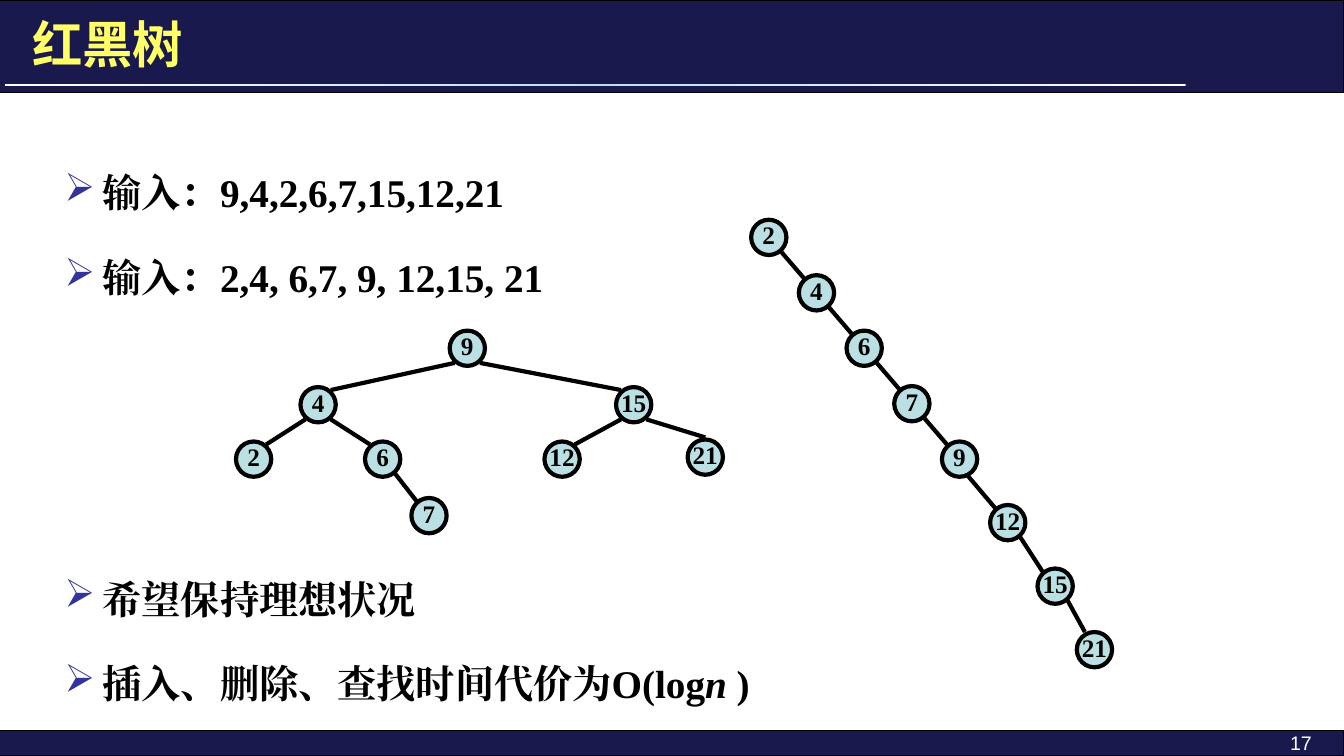
import copy
from dataclasses import dataclass
from typing import Optional

import lxml.etree
import pptx
import pptx.dml.color
import pptx.enum.shapes
import pptx.enum.text
import pptx.oxml.ns
import pptx.slide
import pptx.util

COLUMNS, ROWS = 133.3, 75
SLIDE_WIDTH, SLIDE_HEIGHT = pptx.util.Inches(13.33), pptx.util.Inches(7.5)
NODE_SIZE = 3.5
PORT_X, PORT_Y = 1.25, 1.45
SHAPE = pptx.enum.shapes.MSO_SHAPE
ALIGN = pptx.enum.text.PP_ALIGN
ANCHOR = pptx.enum.text.MSO_ANCHOR


@dataclass(frozen=True)
class Theme:
    navy: str = "19194D"
    yellow: str = "FFFF66"
    pale: str = "BBE0E3"
    black: str = "000000"
    white: str = "FFFFFF"
    bullet: str = "333399"
    serif: str = "Times New Roman"
    chinese: str = "Noto Sans CJK SC"
    sans: str = "Arial"
    title_size: int = 36
    body_size: int = 28
    node_size: int = 18
    number_size: int = 14


THEME = Theme()


@dataclass(frozen=True)
class Box:
    column: float
    row: float
    width: float
    height: float


@dataclass(frozen=True)
class Node:
    label: str
    column: float
    row: float
    parent: Optional[int] = None
    leave_x: float = PORT_X
    arrive_x: float = PORT_X
    arrive_y: float = PORT_Y


@dataclass(frozen=True)
class TextStyle:
    font: str
    size: int
    color: str
    bold: bool = True


@dataclass(frozen=True)
class BulletList:
    box: Box
    lines: tuple[tuple[str, ...], ...]


TITLE_STYLE = TextStyle(THEME.chinese, THEME.title_size, THEME.yellow)
BODY_STYLE = TextStyle(THEME.serif, THEME.body_size, THEME.black)
NODE_STYLE = TextStyle(THEME.serif, THEME.node_size, THEME.black)
NUMBER_STYLE = TextStyle(THEME.sans, THEME.number_size, THEME.white, False)

BARS = (Box(0, 72.5, COLUMNS, 2.5), Box(0, 0, COLUMNS, 9.2))
BALANCED_TREE = (
    Node("9", 46.35, 34.55),
    Node("4", 31.55, 40.15, 0),
    Node("15", 62.85, 40.15, 0),
    Node("2", 25.15, 45.55, 1),
    Node("6", 37.95, 45.55, 1),
    Node("12", 55.75, 45.55, 2),
    Node("21", 69.95, 45.35, 2, arrive_x=0, arrive_y=1.95),
    Node("7", 42.55, 51.15, 4),
)
CHAIN_TREE = (
    Node("2", 76.25, 23.55),
    *(Node(label, 76.25 + 4.73 * step, 23.55 + 5.5 * step, step - 1)
      for step, label in enumerate(("4", "6", "7", "9"), 1)),
    Node("12", 99.95, 51.85, 4, leave_x=0.65),
    Node("15", 104.65, 58.15, 5),
    Node("21", 108.55, 64.45, 6, arrive_x=0.95, arrive_y=1.75),
)
BULLET_LISTS = (
    BulletList(Box(5.4, 13.9, 107.1, 45),
               (("输入：9,4,2,6,7,15,12,21",), ("输入：2,4, 6,7, 9, 12,15, 21",))),
    BulletList(Box(5.4, 54.2, 104.6, 16.7),
               (("希望保持理想状况",), ("插入、删除、查找时间代价为O(log", "n", " )"))),
)


def across(columns: float) -> int:
    return round(SLIDE_WIDTH * columns / COLUMNS)


def down(rows: float) -> int:
    return round(SLIDE_HEIGHT * rows / ROWS)


def place(box: Box) -> tuple[int, int, int, int]:
    return across(box.column), down(box.row), across(box.width), down(box.height)


def rgb(color: str) -> pptx.dml.color.RGBColor:
    return pptx.dml.color.RGBColor.from_string(color)


def format_runs(paragraph, style: TextStyle) -> None:
    for run in paragraph.runs:
        run.font.name = style.font
        run.font.size = pptx.util.Pt(style.size)
        run.font.bold = style.bold
        run.font.color.rgb = rgb(style.color)
        east_asian = lxml.etree.Element(pptx.oxml.ns.qn("a:ea"), typeface=style.font)
        run.font._element.find(pptx.oxml.ns.qn("a:latin")).addnext(east_asian)


def add_filled(slide: pptx.slide.Slide, kind, box: Box, color: str, line_width: float):
    shape = slide.shapes.add_shape(kind, *place(box))
    shape.shadow.inherit = False
    shape.fill.solid()
    shape.fill.fore_color.rgb = rgb(color)
    shape.line.color.rgb = rgb(THEME.black)
    shape.line.width = pptx.util.Pt(line_width)
    return shape


def add_title_rule(slide: pptx.slide.Slide) -> None:
    rule = add_filled(slide, SHAPE.RECTANGLE, Box(0.5, 8.3, 117.1, 0.2), THEME.white, 1)
    rule.line.fill.background()
    rule.fill.gradient()
    rule.fill.gradient_angle = 0
    first_stop = next(rule._element.spPr.iter(pptx.oxml.ns.qn("a:gs")))
    first_stop.addnext(copy.deepcopy(first_stop))
    colors = (THEME.white, THEME.pale, THEME.white)
    for index, (stop, color) in enumerate(zip(rule.fill.gradient_stops, colors)):
        stop.position = index / 2
        stop.color.rgb = rgb(color)


def add_label(slide: pptx.slide.Slide, box: Box, text: str, style: TextStyle,
              alignment=ALIGN.LEFT, anchor=ANCHOR.TOP) -> None:
    text_frame = slide.shapes.add_textbox(*place(box)).text_frame
    text_frame.word_wrap = True
    text_frame.vertical_anchor = anchor
    text_frame.text = text
    text_frame.paragraphs[0].alignment = alignment
    format_runs(text_frame.paragraphs[0], style)


def add_bullet(paragraph) -> None:
    properties = paragraph._element.get_or_add_pPr()
    indent = pptx.util.Inches(0.38)
    properties.set("marL", str(indent))
    properties.set("indent", str(-indent))
    color = lxml.etree.SubElement(properties, pptx.oxml.ns.qn("a:buClr"))
    lxml.etree.SubElement(color, pptx.oxml.ns.qn("a:srgbClr"), val=THEME.bullet)
    lxml.etree.SubElement(properties, pptx.oxml.ns.qn("a:buChar"), char="➢")


def add_bullet_list(slide: pptx.slide.Slide, bullet_list: BulletList) -> None:
    text_frame = slide.shapes.add_textbox(*place(bullet_list.box)).text_frame
    text_frame.word_wrap = True
    for index, pieces in enumerate(bullet_list.lines):
        paragraph = text_frame.add_paragraph() if index else text_frame.paragraphs[0]
        paragraph.line_spacing = 1.5
        paragraph.space_before = pptx.util.Pt(10)
        add_bullet(paragraph)
        for position, piece in enumerate(pieces):
            run = paragraph.add_run()
            run.text = piece
            run.font.italic = position == 1
        format_runs(paragraph, BODY_STYLE)


def add_edge(slide: pptx.slide.Slide, parent: Node, child: Node) -> None:
    side = 1 if child.column > parent.column else -1
    edge = slide.shapes.add_connector(
        pptx.enum.shapes.MSO_CONNECTOR.STRAIGHT,
        across(parent.column + side * child.leave_x), down(parent.row + PORT_Y),
        across(child.column - side * child.arrive_x), down(child.row - child.arrive_y))
    edge.line.color.rgb = rgb(THEME.black)
    edge.line.width = pptx.util.Pt(3)
    lxml.etree.SubElement(edge._element.spPr, pptx.oxml.ns.qn("a:effectLst"))


def add_node(slide: pptx.slide.Slide, node: Node) -> None:
    box = Box(node.column - NODE_SIZE / 2, node.row - NODE_SIZE / 2, NODE_SIZE, NODE_SIZE)
    text_frame = add_filled(slide, SHAPE.OVAL, box, THEME.pale, 3).text_frame
    text_frame.margin_left = text_frame.margin_right = text_frame.margin_top = 0
    text_frame.margin_bottom = down(0.5)
    text_frame.word_wrap = False
    text_frame.vertical_anchor = ANCHOR.MIDDLE
    text_frame.text = node.label
    text_frame.paragraphs[0].alignment = ALIGN.CENTER
    format_runs(text_frame.paragraphs[0], NODE_STYLE)


def add_tree(slide: pptx.slide.Slide, nodes: tuple[Node, ...]) -> None:
    for node in nodes:
        if node.parent is not None:
            add_edge(slide, nodes[node.parent], node)
    for node in nodes:
        add_node(slide, node)


def main() -> None:
    presentation = pptx.Presentation()
    presentation.slide_width, presentation.slide_height = SLIDE_WIDTH, SLIDE_HEIGHT
    slide = presentation.slides.add_slide(presentation.slide_layouts[6])
    for bar in BARS:
        add_filled(slide, SHAPE.RECTANGLE, bar, THEME.navy, 0.75)
    add_title_rule(slide)
    add_label(slide, Box(2.2, 0.8, 115.6, 7), "红黑树", TITLE_STYLE, anchor=ANCHOR.MIDDLE)
    for tree in (BALANCED_TREE, CHAIN_TREE):
        add_tree(slide, tree)
    for bullet_list in BULLET_LISTS:
        add_bullet_list(slide, bullet_list)
    add_label(slide, Box(111.1, 72, 20, 2.5), "17", NUMBER_STYLE, ALIGN.RIGHT)
    presentation.save("out.pptx")


if __name__ == "__main__":
    main()
